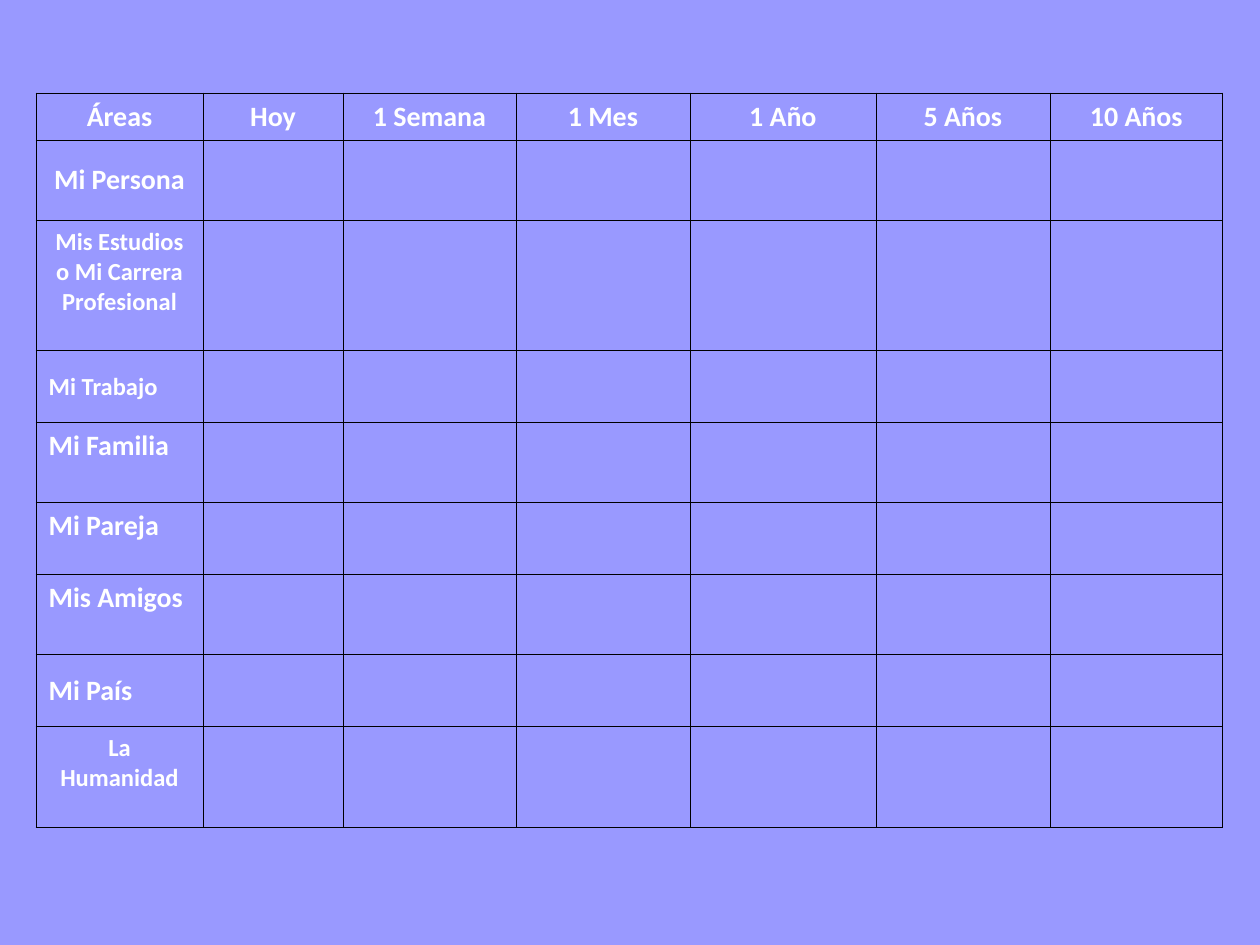
from lxml.etree import SubElement
from pptx import Presentation
from pptx.dml.color import RGBColor
from pptx.enum.text import MSO_ANCHOR, PP_ALIGN
from pptx.oxml.ns import qn
from pptx.util import Pt

PX = 914400 // 126
LILAC = RGBColor(0x99, 0x99, 0xFF)
WHITE = RGBColor(0xFF, 0xFF, 0xFF)
BLACK = RGBColor(0, 0, 0)
LEFT, CENTER = PP_ALIGN.LEFT, PP_ALIGN.CENTER
TOP, MIDDLE = MSO_ANCHOR.TOP, MSO_ANCHOR.MIDDLE
FONT = {"name": "Calibri", "bold": True}

ORIGIN = (36, 93)
HEADER_HEIGHT = 46
PERIODS = [
    ("Áreas", 167), ("Hoy", 140), ("1 Semana", 173), ("1 Mes", 174),
    ("1 Año", 186), ("5 Años", 174), ("10 Años", 173),
]
AREAS = [
    ("Mi Persona", 81, 16, CENTER, MIDDLE),
    ("Mis Estudios o Mi Carrera Profesional", 130, 14, CENTER, TOP),
    ("Mi Trabajo", 72, 14, LEFT, MIDDLE),
    ("Mi Familia", 80, 16, LEFT, TOP),
    ("Mi Pareja", 72, 16, LEFT, TOP),
    ("Mis Amigos", 80, 16, LEFT, TOP),
    ("Mi País", 72, 16, LEFT, MIDDLE),
    ("La Humanidad", 101, 14, CENTER, TOP),
]


def write(cell, text, size, align, anchor):
    cell.text = text
    cell.vertical_anchor = anchor
    para = cell.text_frame.paragraphs[0]
    para.alignment = align
    font = para.runs[0].font
    for key, value in {**FONT, "size": Pt(size)}.items():
        setattr(font, key, value)
    font.color.rgb = WHITE


def border(cell):
    props = cell._tc.get_or_add_tcPr()
    for side in ("lnL", "lnR", "lnT", "lnB"):
        line = SubElement(props, qn(f"a:{side}"), w=str(Pt(0.45)))
        fill = SubElement(line, qn("a:solidFill"))
        SubElement(fill, qn("a:srgbClr"), val=str(BLACK))


def main():
    deck = Presentation()
    deck.slide_width, deck.slide_height = 1260 * PX, 945 * PX
    slide = deck.slides.add_slide(deck.slide_layouts[6])
    slide.background.fill.solid()
    slide.background.fill.fore_color.rgb = LILAC

    widths = [width for _, width in PERIODS]
    heights = [HEADER_HEIGHT] + [area[1] for area in AREAS]
    box = [n * PX for n in (*ORIGIN, sum(widths), sum(heights))]
    table = slide.shapes.add_table(len(heights), len(widths), *box).table
    table.first_row = table.horz_banding = False
    for column, width in zip(table.columns, widths):
        column.width = width * PX
    for row, height in zip(table.rows, heights):
        row.height = height * PX

    for cell in table.iter_cells():
        border(cell)
        cell.fill.background()
    for col, (period, _) in enumerate(PERIODS):
        write(table.cell(0, col), period, 16, CENTER, TOP)
    for row, (area, _, size, align, anchor) in enumerate(AREAS, 1):
        write(table.cell(row, 0), area, size, align, anchor)

    deck.save("out.pptx")


if __name__ == "__main__":
    main()
